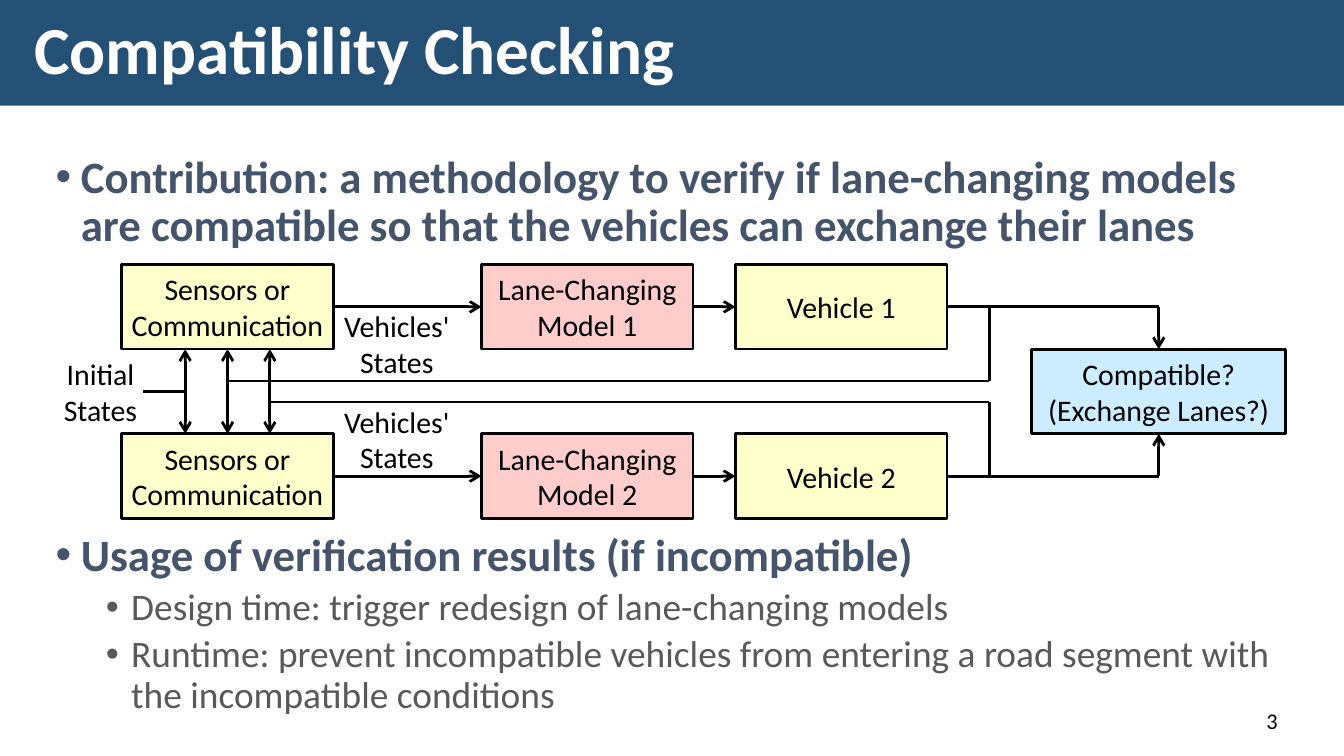
"""Build the compatibility checking slide with its verification flow diagram."""
from dataclasses import dataclass

from lxml import etree
from pptx import Presentation
from pptx.dml.color import RGBColor
from pptx.enum.shapes import MSO_CONNECTOR, MSO_SHAPE
from pptx.enum.text import MSO_ANCHOR, PP_ALIGN
from pptx.oxml.ns import qn
from pptx.util import Cm, Pt

RECTANGLE = MSO_SHAPE.RECTANGLE
STRAIGHT = MSO_CONNECTOR.STRAIGHT
TOP, MIDDLE, BOTTOM = MSO_ANCHOR.TOP, MSO_ANCHOR.MIDDLE, MSO_ANCHOR.BOTTOM
LEFT, CENTER, RIGHT = PP_ALIGN.LEFT, PP_ALIGN.CENTER, PP_ALIGN.RIGHT


@dataclass(frozen=True)
class Theme:
    font: str = "Calibri"
    banner: str = "255076"
    white: str = "FFFFFF"
    black: str = "000000"
    heading: str = "44546A"
    detail: str = "595959"
    yellow: str = "FFFFCC"
    pink: str = "FFCCCC"
    blue: str = "CCECFF"
    title_size: float = 36
    heading_size: float = 24
    detail_size: float = 20
    diagram_size: float = 16
    number_size: float = 12
    line_width: float = 1.5


@dataclass(frozen=True)
class Area:
    left: float
    top: float
    width: float
    height: float

    def lengths(self) -> tuple:
        return Cm(self.left), Cm(self.top), Cm(self.width), Cm(self.height)


@dataclass(frozen=True)
class Block:
    text: str
    area: Area
    fill: str


@dataclass(frozen=True)
class Wire:
    start: tuple[float, float]
    end: tuple[float, float]
    arrow_start: bool = False
    arrow_end: bool = False


@dataclass(frozen=True)
class Bullet:
    text: str
    level: int = 0


THEME = Theme()
BLOCK_WIDTH, BLOCK_HEIGHT = 4, 1.6
SENSOR_LEFT, MODEL_LEFT, VEHICLE_LEFT = 2.3, 9.1, 13.9
LANE_TOPS = (5, 8.2)
LABEL_TOPS = (5.8, 7.6)
FEEDBACK_LEVELS = (7.2, 7.6)
SENSOR_LINKS = (3.5, 4.3, 5.1)
FEEDBACK_X = 18.7
RESULT = Block("Compatible?\n(Exchange Lanes?)", Area(19.5, 6.6, 4.8, BLOCK_HEIGHT), THEME.blue)
RESULT_X = RESULT.area.left + RESULT.area.width / 2


def write_text(frame, text: str, *, size: float, color: str = THEME.black, bold: bool = False,
               align=CENTER, anchor=MIDDLE, wrap: bool = True, inset: bool = True,
               spacing: float = 1) -> None:
    frame.text = text
    frame.word_wrap = wrap
    frame.vertical_anchor = anchor
    if not inset:
        frame.margin_left = frame.margin_right = frame.margin_top = frame.margin_bottom = 0
    for para in frame.paragraphs:
        para.alignment = align
        para.line_spacing = spacing
        for span in para.runs:
            format_span(span, size, color, bold)


def format_span(span, size: float, color: str, bold: bool) -> None:
    span.font.name = THEME.font
    span.font.size = Pt(size)
    span.font.bold = bold
    span.font.color.rgb = RGBColor.from_string(color)


def add_rectangle(shapes, area: Area, fill: str, outlined: bool = True):
    box = shapes.add_shape(RECTANGLE, *area.lengths())
    box.shadow.inherit = False
    box.fill.solid()
    box.fill.fore_color.rgb = RGBColor.from_string(fill)
    if outlined:
        box.line.color.rgb = RGBColor.from_string(THEME.black)
        box.line.width = Pt(THEME.line_width)
    else:
        box.line.fill.background()
    return box


def add_block(shapes, block: Block) -> None:
    box = add_rectangle(shapes, block.area, block.fill)
    write_text(box.text_frame, block.text, size=THEME.diagram_size, wrap=False, inset=False)


def add_text(shapes, text: str, area: Area, **style) -> None:
    write_text(shapes.add_textbox(*area.lengths()).text_frame, text, **style)


def add_wire(shapes, wire: Wire) -> None:
    connector = shapes.add_connector(STRAIGHT, *(Cm(value) for value in wire.start + wire.end))
    connector.line.color.rgb = RGBColor.from_string(THEME.black)
    connector.line.width = Pt(THEME.line_width)
    properties = connector.element.spPr
    outline = properties.find(qn("a:ln"))
    for wanted, tag in ((wire.arrow_start, "a:headEnd"), (wire.arrow_end, "a:tailEnd")):
        if wanted:
            etree.SubElement(outline, qn(tag), type="arrow")
    etree.SubElement(properties, qn("a:effectLst"))


def add_bullets(shapes, area: Area, bullets: list[Bullet]) -> None:
    frame = shapes.add_textbox(*area.lengths()).text_frame
    frame.word_wrap = True
    for index, bullet in enumerate(bullets):
        para = frame.add_paragraph() if index else frame.paragraphs[0]
        main = bullet.level == 0
        para.level = bullet.level
        para.line_spacing = 0.9
        para.space_before = Pt(7.5 if main else 3.75)
        span = para.add_run()
        span.text = bullet.text
        format_span(span, THEME.heading_size if main else THEME.detail_size,
                    THEME.heading if main else THEME.detail, main)
        properties = para._p.get_or_add_pPr()
        properties.set("marL", str(Cm(0.48 if main else 1.43)))
        properties.set("indent", str(-Cm(0.48)))
        etree.SubElement(properties, qn("a:buFont"), typeface="Arial")
        etree.SubElement(properties, qn("a:buChar"), char="•")


def add_lane(shapes, number: int, top: float, label_top: float, feedback_y: float,
             feedback_x: float) -> None:
    middle = top + BLOCK_HEIGHT / 2
    sensor_right, model_right, vehicle_right = (
        left + BLOCK_WIDTH for left in (SENSOR_LEFT, MODEL_LEFT, VEHICLE_LEFT))
    result_edge = RESULT.area.top + (RESULT.area.height if number == 2 else 0)
    for text, left, fill in (
        ("Sensors or\nCommunication", SENSOR_LEFT, THEME.yellow),
        (f"Lane-Changing\nModel {number}", MODEL_LEFT, THEME.pink),
        (f"Vehicle {number}", VEHICLE_LEFT, THEME.yellow),
    ):
        add_block(shapes, Block(text, Area(left, top, BLOCK_WIDTH, BLOCK_HEIGHT), fill))
    add_text(shapes, "Vehicles'\nStates", Area(sensor_right, label_top, 2.4, 1.4),
             size=THEME.diagram_size, wrap=False, inset=False)
    for wire in (
        Wire((sensor_right, middle), (MODEL_LEFT, middle), arrow_end=True),
        Wire((model_right, middle), (VEHICLE_LEFT, middle), arrow_end=True),
        Wire((vehicle_right, middle), (RESULT_X, middle)),
        Wire((RESULT_X, middle), (RESULT_X, result_edge), arrow_end=True),
        Wire((FEEDBACK_X, middle), (FEEDBACK_X, feedback_y)),
        Wire((feedback_x, feedback_y), (FEEDBACK_X, feedback_y)),
    ):
        add_wire(shapes, wire)


def add_diagram(shapes) -> None:
    lanes = zip(LANE_TOPS, LABEL_TOPS, FEEDBACK_LEVELS, SENSOR_LINKS[1:])
    for number, lane in enumerate(lanes, 1):
        add_lane(shapes, number, *lane)
    for link in SENSOR_LINKS:
        add_wire(shapes, Wire((link, LANE_TOPS[1]), (link, LANE_TOPS[0] + BLOCK_HEIGHT), True, True))
    add_text(shapes, "Initial\nStates", Area(1.1, 6.8, 1.6, 1.2),
             size=THEME.diagram_size, wrap=False, inset=False)
    add_wire(shapes, Wire((2.7, 7.4), (SENSOR_LINKS[0], 7.4)))
    add_block(shapes, RESULT)


def main() -> None:
    deck = Presentation()
    deck.slide_width, deck.slide_height = Cm(25.4), Cm(14.29)
    page = deck.slides.add_slide(deck.slide_layouts[6])
    add_rectangle(page.shapes, Area(0, 0, 25.4, 2), THEME.banner, outlined=False)
    add_text(page.shapes, "Compatibility Checking", Area(0.4, 0.2, 24.6, 1.6),
             size=THEME.title_size, color=THEME.white, bold=True, align=LEFT, spacing=0.9)
    add_bullets(page.shapes, Area(0.8, 2.8, 23.6, 2.1), [
        Bullet("Contribution: a methodology to verify if lane-changing models are compatible "
               "so that the vehicles can exchange their lanes")])
    add_bullets(page.shapes, Area(0.8, 9.95, 23.6, 4.05), [
        Bullet("Usage of verification results (if incompatible)"),
        Bullet("Design time: trigger redesign of lane-changing models", 1),
        Bullet("Runtime: prevent incompatible vehicles from entering a road segment with "
               "the incompatible conditions", 1)])
    add_diagram(page.shapes.add_group_shape().shapes)
    add_text(page.shapes, "3", Area(22.8, 13.2, 1.6, 0.8),
             size=THEME.number_size, align=RIGHT, anchor=BOTTOM)
    deck.save("out.pptx")


if __name__ == "__main__":
    main()
